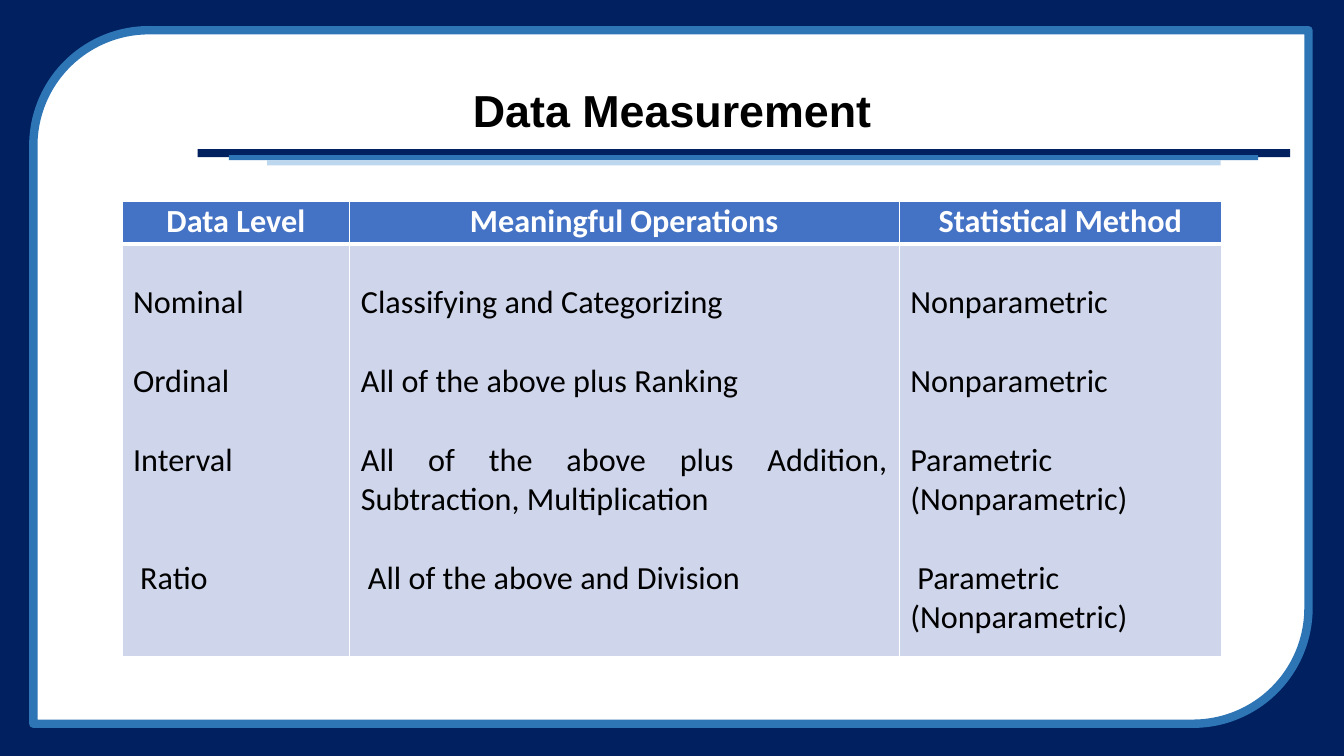
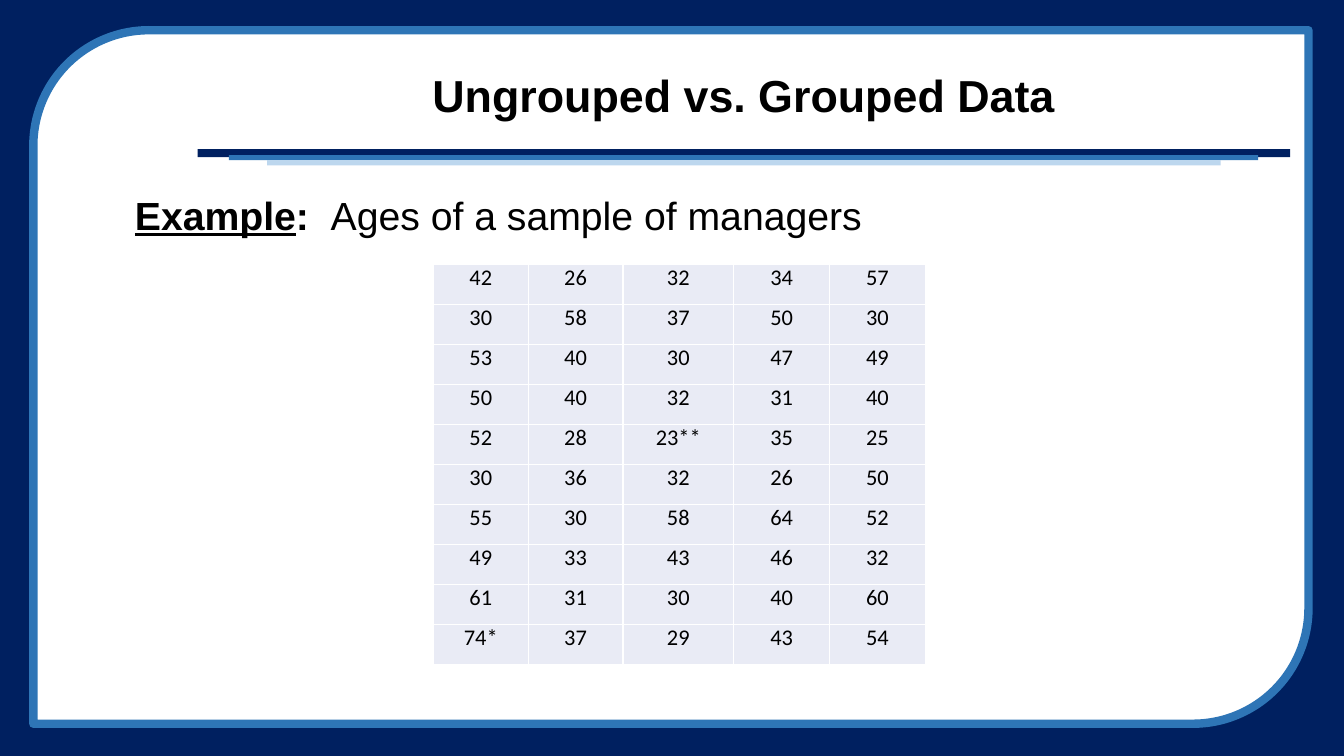
"""Build two statistics slides: levels of data measurement and an ungrouped data example."""
from lxml import etree
from pptx import Presentation
from pptx.dml.color import RGBColor
from pptx.enum.shapes import MSO_SHAPE
from pptx.enum.text import MSO_ANCHOR, MSO_AUTO_SIZE, PP_ALIGN
from pptx.oxml.ns import qn
from pptx.util import Inches, Pt

RECTANGLE, ROUNDED = MSO_SHAPE.RECTANGLE, MSO_SHAPE.ROUND_2_DIAG_RECTANGLE
CENTER, JUSTIFY = PP_ALIGN.CENTER, PP_ALIGN.JUSTIFY
MIDDLE, NO_AUTOFIT = MSO_ANCHOR.MIDDLE, MSO_AUTO_SIZE.NONE
COLORS = {name: RGBColor.from_string(value) for name, value in {
    "navy": "002060", "blue": "2E75B6", "pale": "BDD7EE", "white": "FFFFFF", "black": "000000",
    "header": "4472C4", "levels": "CFD5EA", "ages": "E9EBF5"}.items()}
HEADING_FONT, TABLE_FONT = "Arial", "Calibri"
LINE = 28

prs = Presentation()
prs.slide_width, prs.slide_height = Inches(13.333), Inches(7.5)


def share(left, top, width, height):
    """Turn percentages of the slide into a position and a size."""
    across, down = prs.slide_width / 100, prs.slide_height / 100
    return [round(part) for part in (left * across, top * down, width * across, height * down)]


def fill_cell(cell, lines, align, size, color, fill, inset, edges=(1, 1, 1, 1), bold=False):
    """Write (text, gap in lines, indent) entries and draw left, right, top and bottom edges."""
    cell.margin_left = cell.margin_right = Inches(inset)
    cell.margin_top, cell.margin_bottom = Pt(lines[0][1] * LINE), 0
    cell.fill.solid()
    cell.fill.fore_color.rgb = COLORS[fill]
    properties = cell._tc.get_or_add_tcPr()
    for position, (side, weight) in enumerate(zip("LRTB", edges)):
        edge = etree.Element(qn(f"a:ln{side}"), w=str(Pt(weight)))
        paint = etree.SubElement(edge, qn("a:solidFill"))
        etree.SubElement(paint, qn("a:srgbClr"), val=str(COLORS["white"]))
        properties.insert(position, edge)
    for number, (text, gap, indent) in enumerate(lines):
        paragraph = cell.text_frame.add_paragraph() if number else cell.text_frame.paragraphs[0]
        paragraph.alignment = align
        if number:
            paragraph.space_before = Pt(gap * LINE)
        if indent:
            paragraph._p.get_or_add_pPr().set("indent", str(Inches(indent)))
        run = paragraph.add_run()
        run.text = text
        run.font.name, run.font.size, run.font.bold = TABLE_FONT, Pt(size), bold
        run.font.color.rgb = COLORS[color]


title_only = prs.slide_layouts[5]
titles = [
    ("Data Measurement", (6.9, 5.33, 86.25, 19.33)),
    ("Ungrouped vs. Grouped Data", (14.7, 6.53, 81.3, 12.93)),
]
slides = []
for heading, area in titles:
    slide = prs.slides.add_slide(title_only)
    slides.append(slide)
    title = slide.shapes.title
    title.left, title.top, title.width, title.height = share(*area)
    title.text_frame.auto_size = NO_AUTOFIT
    title.text_frame.vertical_anchor = MIDDLE
    paragraph = title.text_frame.paragraphs[0]
    paragraph.alignment, paragraph.line_spacing = CENTER, 0.9
    run = paragraph.add_run()
    run.text = heading
    run.font.name, run.font.size, run.font.bold = HEADING_FONT, Pt(32), True
    run.font.color.rgb = COLORS["black"]
measurement, ungrouped = slides

frame = [
    (RECTANGLE, (0, 0, 100, 100), "navy", None),
    (ROUNDED, (2.48, 4, 94.88, 91.73), "white", "blue"),
    (RECTANGLE, (14.7, 19.73, 81.3, 1.07), "navy", None),
    (RECTANGLE, (17.03, 20.53, 76.58, 0.67), "blue", None),
    (RECTANGLE, (19.88, 21.2, 70.95, 0.67), "pale", None),
]
for depth, (outline, area, fill, border) in enumerate(frame):
    band = measurement.shapes.add_shape(outline, *share(*area))
    band.shadow.inherit = False
    band.fill.solid()
    band.fill.fore_color.rgb = COLORS[fill]
    if border:
        band.line.color.rgb, band.line.width = COLORS[border], Pt(6)
    else:
        band.line.fill.background()
    title_only.shapes.element.insert(2 + depth, band.element)

level_columns = [
    ("Data Level", 16.95, [
        ("Nominal", 1, 0), ("Ordinal", 1, 0), ("Interval", 1, 0), ("Ratio", 2, 0.07)]),
    ("Meaningful Operations", 40.88, [
        ("Classifying and Categorizing", 1, 0),
        ("All of the above plus Ranking", 1, 0),
        ("All of the above plus Addition, Subtraction, Multiplication", 1, 0),
        ("All of the above and Division", 1, 0.07)]),
    ("Statistical Method", 24, [
        ("Nonparametric", 1, 0), ("Nonparametric", 1, 0),
        ("Parametric", 1, 0), ("(Nonparametric)", 0, 0),
        ("Parametric", 1, 0.07), ("(Nonparametric)", 0, 0)]),
]
levels = measurement.shapes.add_table(2, 3, *share(9.08, 26.67, 81.83, 60.13)).table
levels.horz_banding = False
for row, height in zip(levels.rows, (5.6, 54.53)):
    row.height = share(0, 0, 0, height)[3]
for index, (heading, width, entries) in enumerate(level_columns):
    levels.columns[index].width = share(0, 0, width, 0)[2]
    fill_cell(levels.cell(0, index), [(heading, 0, 0)], CENTER, 23, "white", "header", 0.11,
              (1, 1, 1, 3), True)
    fill_cell(levels.cell(1, index), entries, JUSTIFY, 23, "black", "levels", 0.11, (1, 1, 3, 1))

example = ungrouped.shapes.add_textbox(*share(9.3, 25.33, 85.05, 7.33)).text_frame
example.word_wrap = True
paragraph = example.paragraphs[0]
paragraph.line_spacing = 0.9
for text, bold, underline in [("Example", True, True), (":  ", True, False),
                              ("Ages of a sample of managers", False, False)]:
    run = paragraph.add_run()
    run.text = text
    run.font.name, run.font.size = HEADING_FONT, Pt(28)
    run.font.bold, run.font.underline = bold, underline
    run.font.color.rgb = COLORS["black"]

manager_ages = [
    "42 26 32 34 57", "30 58 37 50 30", "53 40 30 47 49", "50 40 32 31 40", "52 28 23** 35 25",
    "30 36 32 26 50", "55 30 58 64 52", "49 33 43 46 32", "61 31 30 40 60", "74* 37 29 43 54",
]
age_widths = (7.05, 7.05, 8.25, 7.13, 7.13)
ages = ungrouped.shapes.add_table(
    len(manager_ages), len(age_widths), *share(32.25, 34.93, sum(age_widths), 53)).table
ages.first_row = ages.horz_banding = False
for column, width in zip(ages.columns, age_widths):
    column.width = share(0, 0, width, 0)[2]
for row, values in zip(ages.rows, manager_ages):
    row.height = share(0, 0, 0, 5.3)[3]
    for cell, age in zip(row.cells, values.split()):
        fill_cell(cell, [(age, 0, 0)], CENTER, 16, "black", "ages", 0.07)

prs.save("out.pptx")
